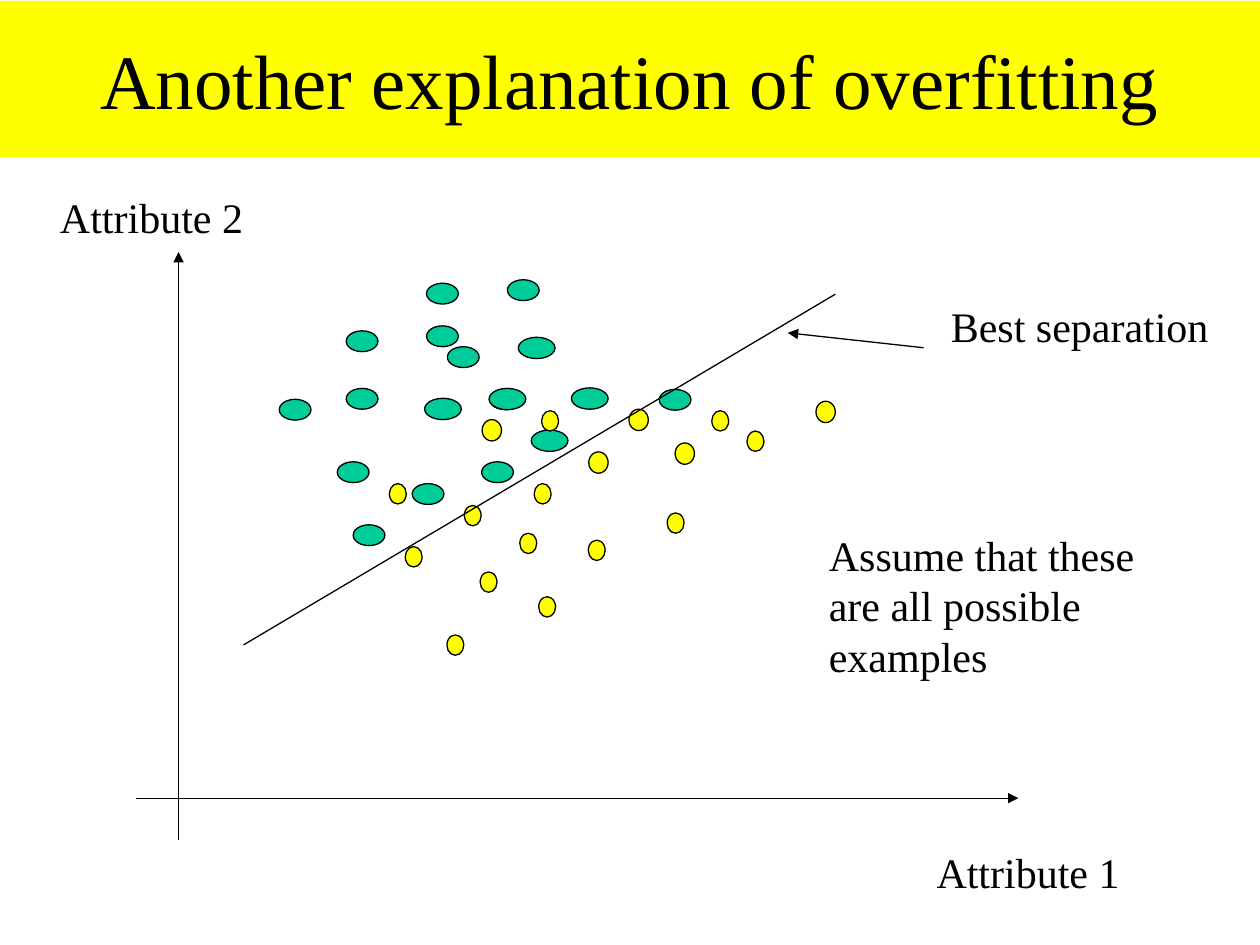
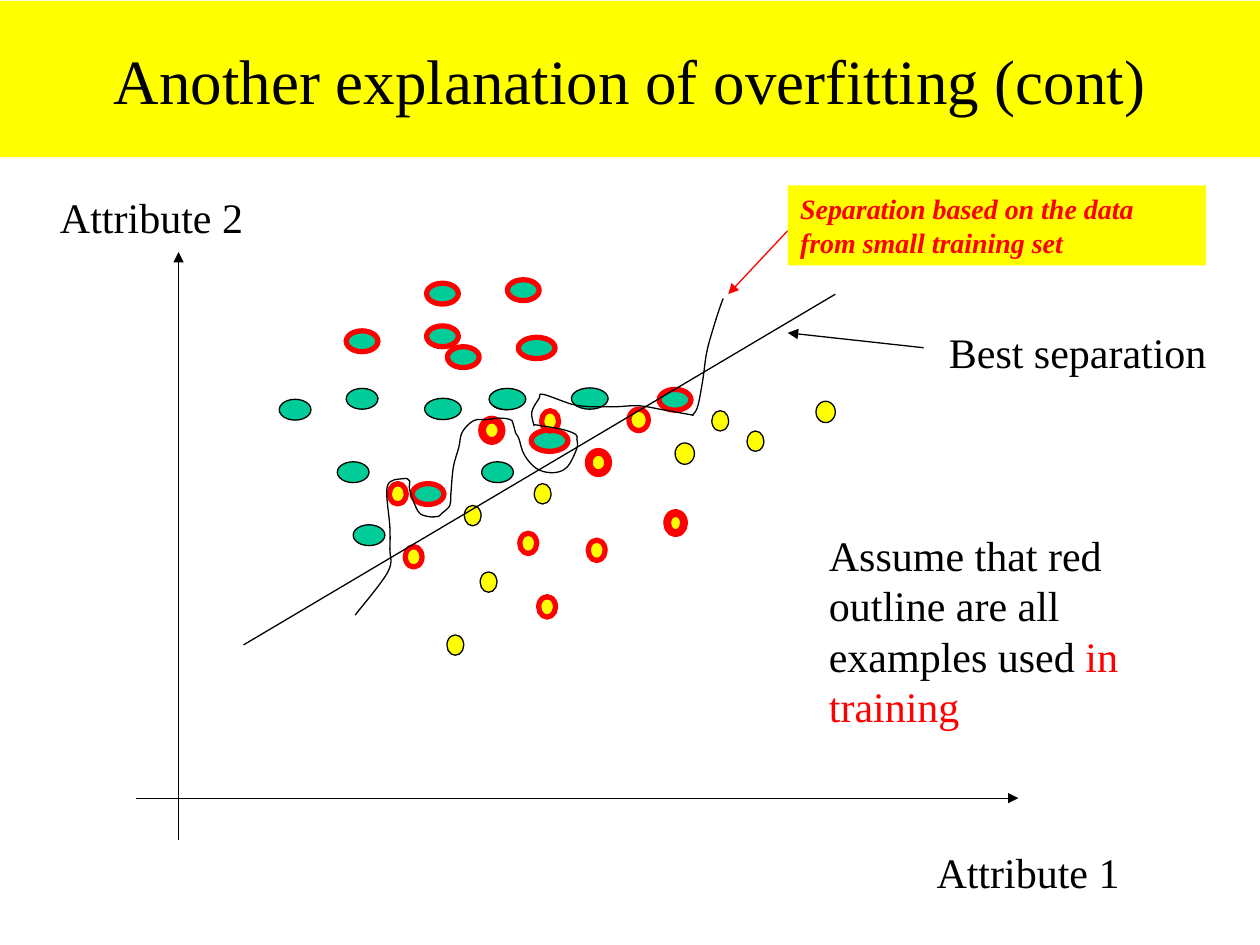
from dataclasses import dataclass
from typing import Optional

from lxml import etree
from pptx import Presentation
from pptx import util as u
from pptx.dml.color import RGBColor
from pptx.enum import shapes, text
from pptx.oxml.ns import qn

BLACK = RGBColor(0x00, 0x00, 0x00)
WHITE = RGBColor(0xFF, 0xFF, 0xFF)
RED = RGBColor(0xFF, 0x00, 0x00)
YELLOW = RGBColor(0xFF, 0xFF, 0x00)
GREEN = RGBColor(0x00, 0xCC, 0x99)
FONT = "Times New Roman"
THIN = 0.75

Point = tuple[float, float]


@dataclass(frozen=True)
class Kind:
    """Size in centimetres and fill of one sort of example."""
    width: float
    height: float
    color: RGBColor


@dataclass(frozen=True)
class Example:
    """A data point; training is its outline width when used in training."""
    kind: Kind
    left: float
    top: float
    training: Optional[float] = None


@dataclass(frozen=True)
class Line:
    start: Point
    end: Point
    arrow: bool = False
    color: RGBColor = BLACK


@dataclass(frozen=True)
class Label:
    """A text box; each run is a pair of wording and colour."""
    left: float
    top: float
    width: float
    height: float
    runs: tuple[tuple[str, RGBColor], ...]
    size: float = 24
    fill: Optional[RGBColor] = None
    emphasis: bool = False


GREEN_OVAL = Kind(0.64, 0.42, GREEN)
GREEN_WIDE = Kind(0.74, 0.43, GREEN)
YELLOW_DOT = Kind(0.34, 0.41, YELLOW)
YELLOW_LARGE = Kind(0.39, 0.43, YELLOW)

EXAMPLES = [
    Example(GREEN_OVAL, 6.98, 7.83),
    Example(GREEN_OVAL, 5.63, 8.05),
    Example(GREEN_OVAL, 6.8, 9.31),
    Example(GREEN_OVAL, 8.31, 9.75, 3),
    Example(GREEN_OVAL, 7.12, 10.58),
    Example(GREEN_OVAL, 8.6, 6.57, 3),
    Example(GREEN_OVAL, 9.02, 6.99, 3),
    Example(GREEN_OVAL, 10.23, 5.64, 3),
    Example(GREEN_OVAL, 8.6, 5.71, 3),
    Example(GREEN_OVAL, 13.29, 7.85, 3),
    Example(GREEN_OVAL, 6.98, 6.67, 3),
    Example(GREEN_OVAL, 9.87, 7.84),
    Example(GREEN_OVAL, 9.71, 9.31),
    Example(GREEN_WIDE, 8.56, 8.03),
    Example(GREEN_WIDE, 10.45, 6.8, 3),
    Example(GREEN_WIDE, 9.86, 7.83),
    Example(GREEN_WIDE, 11.52, 7.82),
    Example(GREEN_WIDE, 10.71, 8.67, 3),
    Example(YELLOW_DOT, 9.01, 12.8),
    Example(YELLOW_DOT, 9.68, 11.53),
    Example(YELLOW_DOT, 7.85, 9.75, 3),
    Example(YELLOW_DOT, 9.36, 10.19),
    Example(YELLOW_DOT, 8.17, 11.02, 3),
    Example(YELLOW_DOT, 10.86, 12.03, 3),
    Example(YELLOW_DOT, 11.86, 10.89, 3),
    Example(YELLOW_DOT, 15.06, 8.69),
    Example(YELLOW_DOT, 13.45, 10.34, 4.5),
    Example(YELLOW_DOT, 14.35, 8.28),
    Example(YELLOW_DOT, 10.48, 10.75, 3),
    Example(YELLOW_DOT, 10.92, 8.28, 3),
    Example(YELLOW_DOT, 10.77, 9.75),
    Example(YELLOW_LARGE, 9.72, 8.46, 4.5),
    Example(YELLOW_LARGE, 16.45, 8.09),
    Example(YELLOW_LARGE, 13.61, 8.93),
    Example(YELLOW_LARGE, 12.68, 8.25, 3),
    Example(YELLOW_LARGE, 11.87, 9.11, 4.5),
]

AXES = [
    Line((2.75, 16.09), (20.53, 16.09), arrow=True),
    Line((3.6, 16.94), (3.6, 5.08), arrow=True),
]
AXIS_LABELS = [
    Label(18.63, 16.94, 5.28, 1.27, (("Attribute 1", BLACK),)),
    Label(0.96, 3.73, 5.28, 1.27, (("Attribute 2", BLACK),)),
]
BEST_SEPARATION = [
    Line((4.91, 13), (16.84, 5.93)),
    Line((18.62, 7.01), (15.88, 6.71), arrow=True),
]
TRAINING_POINTER = Line((15.88, 4.65), (14.68, 5.93), arrow=True, color=RED)
TRAINING_NOTE = Label(
    15.88, 3.74, 8.43, 1.61,
    (("Separation based on the data from small training set", RED),),
    size=16, fill=YELLOW, emphasis=True)

# Points that the overfitted boundary passes through, in two strokes
LOWER_BOUNDARY = [
    (7.16, 12.4), (7.82, 11.53), (7.86, 11.07), (7.86, 10.62), (7.81, 9.8),
    (8.13, 9.65), (8.26, 9.7), (8.26, 9.88), (8.43, 10.31), (8.61, 10.41),
    (8.76, 10.42), (8.84, 10.41), (8.92, 10.34), (9.07, 10.19), (9.09, 9.96),
    (9.14, 9.42), (9.25, 9.02), (9.32, 8.71), (9.55, 8.48), (9.8, 8.46),
    (10.08, 8.43), (10.29, 8.46), (10.34, 8.53), (10.39, 8.71), (10.4, 8.74),
    (10.46, 8.84), (10.57, 9.17), (10.82, 9.45), (11.15, 9.53), (11.43, 9.42),
    (11.63, 9.04), (11.63, 8.86), (11.61, 8.76), (11.35, 8.66), (10.95, 8.59),
    (10.77, 8.56),
]
UPPER_BOUNDARY = [
    (10.77, 8.59), (10.72, 8.31), (10.87, 8.03), (10.95, 7.95), (11.53, 8.15),
    (11.89, 8.2), (12.07, 8.2), (12.45, 8.2), (12.88, 8.18), (13.36, 8.26),
    (13.92, 8.36), (13.97, 8.36), (14.07, 8.18), (14.17, 7.65), (14.25, 7.09),
    (14.4, 6.55), (14.53, 6.15), (14.58, 6.02),
]


def add_box(slide, kind, left: float, top: float, width: float, height: float,
            fill: RGBColor):
    """Add a filled preset shape without shadow or outline."""
    shape = slide.shapes.add_shape(
        kind, u.Cm(left), u.Cm(top), u.Cm(width), u.Cm(height))
    shape.shadow.inherit = False
    shape.fill.solid()
    shape.fill.fore_color.rgb = fill
    shape.line.fill.background()
    return shape


def set_line(shape, color: RGBColor, width: float = THIN) -> None:
    shape.line.color.rgb = color
    shape.line.width = u.Pt(width)


def add_title(slide, wording: str, size: float) -> None:
    band = add_box(slide, shapes.MSO_SHAPE.RECTANGLE, 0, 0.02, 25.4, 3.15, YELLOW)
    band.text_frame.vertical_anchor = text.MSO_ANCHOR.MIDDLE
    paragraph = band.text_frame.paragraphs[0]
    paragraph.text = wording
    paragraph.alignment = text.PP_ALIGN.CENTER
    paragraph.font.name = FONT
    paragraph.font.size = u.Pt(size)
    paragraph.font.color.rgb = BLACK


def add_line(slide, line: Line) -> None:
    connector = slide.shapes.add_connector(
        shapes.MSO_CONNECTOR.STRAIGHT, *map(u.Cm, line.start + line.end))
    set_line(connector, line.color)
    properties = connector._element.spPr
    if line.arrow:
        etree.SubElement(properties.find(qn("a:ln")), qn("a:tailEnd"),
                         type="triangle")
    etree.SubElement(properties, qn("a:effectLst"))


def add_label(slide, label: Label) -> None:
    place = (label.left, label.top, label.width, label.height)
    if label.fill is None:
        box = slide.shapes.add_textbox(*map(u.Cm, place))
    else:
        box = add_box(slide, shapes.MSO_SHAPE.RECTANGLE, *place, label.fill)
    frame = box.text_frame
    frame.word_wrap = True
    frame.vertical_anchor = text.MSO_ANCHOR.TOP
    paragraph = frame.paragraphs[0]
    paragraph.alignment = text.PP_ALIGN.LEFT
    paragraph.font.name = FONT
    paragraph.font.size = u.Pt(label.size)
    paragraph.font.bold = paragraph.font.italic = label.emphasis
    for wording, color in label.runs:
        run = paragraph.add_run()
        run.text = wording
        run.font.color.rgb = color


def add_example(slide, example: Example, show_training: bool) -> None:
    kind = example.kind
    oval = add_box(slide, shapes.MSO_SHAPE.OVAL, example.left, example.top,
                   kind.width, kind.height, kind.color)
    if show_training and example.training:
        set_line(oval, RED, example.training)
    else:
        set_line(oval, BLACK)


def bend_segments(curve) -> None:
    """Turn the straight segments of a freeform into smooth Bezier curves."""
    points = [(int(point.get("x")), int(point.get("y")))
              for point in curve._element.iter(qn("a:pt"))]
    padded = [points[0], *points, points[-1]]
    segments = list(curve._element.iter(qn("a:lnTo")))
    for segment, a, b, c, d in zip(segments, padded, padded[1:], padded[2:],
                                   padded[3:]):
        leave = [q + (r - p) / 6 for p, q, r in zip(a, b, c)]
        arrive = [r - (s - q) / 6 for q, r, s in zip(b, c, d)]
        bezier = etree.Element(qn("a:cubicBezTo"))
        for x, y in (leave, arrive, c):
            etree.SubElement(bezier, qn("a:pt"), x=str(round(x)), y=str(round(y)))
        segment.getparent().replace(segment, bezier)


def add_curve(slide, points: list[Point]) -> None:
    start, *rest = [(u.Cm(x), u.Cm(y)) for x, y in points]
    builder = slide.shapes.build_freeform(*start)
    builder.add_line_segments(rest, close=False)
    curve = builder.convert_to_shape()
    bend_segments(curve)
    curve.shadow.inherit = False
    curve.fill.background()
    set_line(curve, BLACK)


def add_plot_slide(presentation, title: str, title_size: float,
                   labels: list[Label], show_training: bool = False):
    """Add a slide with the title band, axes, examples and best separation."""
    slide = presentation.slides.add_slide(presentation.slide_layouts[6])
    slide.background.fill.solid()
    slide.background.fill.fore_color.rgb = WHITE
    add_title(slide, title, title_size)
    for line in AXES:
        add_line(slide, line)
    for label in AXIS_LABELS:
        add_label(slide, label)
    for example in EXAMPLES:
        add_example(slide, example, show_training)
    for line in BEST_SEPARATION:
        add_line(slide, line)
    for label in labels:
        add_label(slide, label)
    return slide


def main() -> None:
    presentation = Presentation()
    presentation.slide_width = u.Cm(25.4)
    presentation.slide_height = u.Cm(19.05)

    # All possible examples
    add_plot_slide(presentation, "Another explanation of overfitting", 44, [
        Label(18.92, 5.93, 6.07, 1.27, (("Best separation", BLACK),)),
        Label(16.46, 10.55, 7.04, 3.3,
              (("Assume that these are all possible examples", BLACK),)),
    ])

    # Training examples and the boundary fitted to them
    slide = add_plot_slide(
        presentation, "Another explanation of overfitting (cont)", 36, [
            Label(18.88, 6.45, 6.07, 1.27, (("Best separation", BLACK),)),
            Label(16.46, 10.55, 7.04, 4.32,
                  (("Assume that red outline are all examples used ", BLACK),
                   ("in training", RED))),
        ], show_training=True)
    for boundary in (LOWER_BOUNDARY, UPPER_BOUNDARY):
        add_curve(slide, boundary)
    add_line(slide, TRAINING_POINTER)
    add_label(slide, TRAINING_NOTE)

    presentation.save("out.pptx")


if __name__ == "__main__":
    main()
